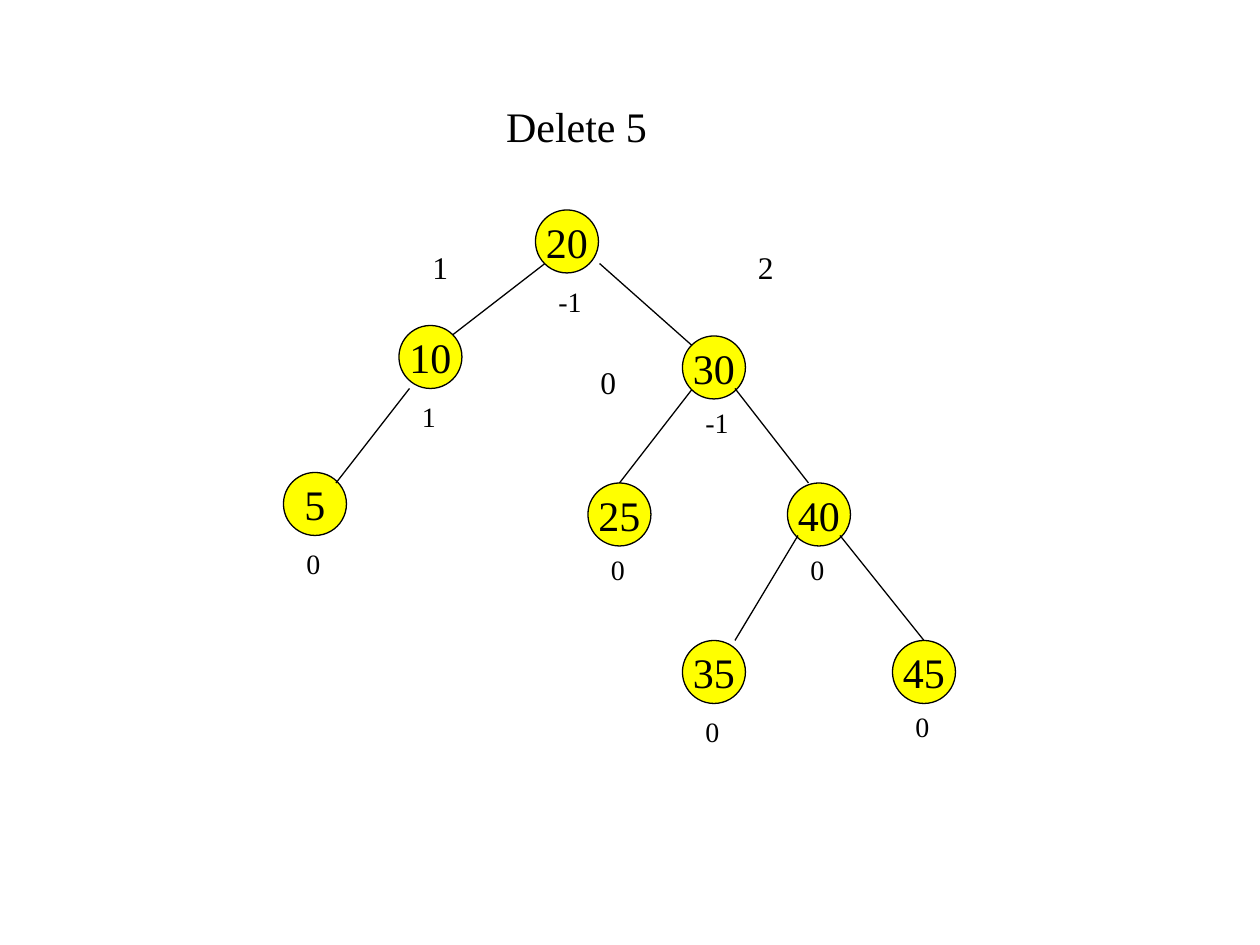
from lxml import etree
from pptx import Presentation
from pptx import util as u
from pptx.dml.color import RGBColor
from pptx.enum import shapes, text
from pptx.oxml.ns import qn

TITLE = "Delete 5"
NODES = [
    ("20", 51, 20, "-1", 6.5),
    ("10", 38, 31, "1", 6.5),
    ("30", 65, 32, "-1", 6),
    ("25", 56, 46, "0", 6),
    ("40", 75, 46, "0", 6),
    ("5", 27, 45, "0", 6.5),
    ("35", 65, 61, "0", 6.5),
    ("45", 85, 61, "0", 6),
]
EDGES = [
    (51.9, 25.1, 43.1, 31.9),
    (57.1, 25.1, 65.9, 32.9),
    (65.9, 37.1, 59, 46),
    (70, 37, 77, 46),
    (39, 37, 32, 46),
    (80, 51, 88, 61),
    (76, 51, 70, 61),
]
HEIGHTS = [("1", 40, 23), ("0", 56, 34), ("2", 71, 23)]

FONT = "Times New Roman"
BLACK = RGBColor(0, 0, 0)
YELLOW = RGBColor(255, 255, 0)
NODE_SIZE = 6


def grid(steps):
    return u.Inches(steps / 12)


def write(frame, words, size, align=text.PP_ALIGN.LEFT, anchor=text.MSO_ANCHOR.TOP, wrap=True):
    frame.word_wrap = wrap
    frame.vertical_anchor = anchor
    paragraph = frame.paragraphs[0]
    paragraph.alignment = align
    run = paragraph.add_run()
    run.text = words
    run.font.size = u.Pt(size)
    run.font.name = FONT
    run.font.color.rgb = BLACK


def outline(line):
    line.color.rgb = BLACK
    line.width = u.Pt(0.75)


def add_label(slide, words, column, row, size):
    width = 0.34 if len(words) == 1 else 0.42
    height = 0.4 if size == 18 else 0.37
    box = slide.shapes.add_textbox(grid(column), grid(row), u.Inches(width), u.Inches(height))
    write(box.text_frame, words, size)
    box.text_frame.auto_size = text.MSO_AUTO_SIZE.SHAPE_TO_FIT_TEXT


def add_node(slide, key, column, row):
    node = slide.shapes.add_shape(
        shapes.MSO_SHAPE.OVAL, grid(column), grid(row), grid(NODE_SIZE), grid(NODE_SIZE)
    )
    node.shadow.inherit = False
    node.fill.solid()
    node.fill.fore_color.rgb = YELLOW
    outline(node.line)
    write(node.text_frame, key, 24, text.PP_ALIGN.CENTER, text.MSO_ANCHOR.MIDDLE, wrap=False)


def add_edge(slide, ends):
    edge = slide.shapes.add_connector(shapes.MSO_CONNECTOR.STRAIGHT, *map(grid, ends))
    outline(edge.line)
    etree.SubElement(edge._element.spPr, qn("a:effectLst"))


def main():
    presentation = Presentation()
    presentation.slide_width = u.Inches(10)
    presentation.slide_height = u.Inches(7.5)
    slide = presentation.slides.add_slide(presentation.slide_layouts[5])

    title = slide.shapes.title
    title.left, title.top, title.width, title.height = map(grid, (47, 9, 23, 6))
    write(title.text_frame, TITLE, 24)
    title.text_frame.auto_size = text.MSO_AUTO_SIZE.NONE

    for key, column, row, balance, drop in NODES:
        add_node(slide, key, column, row)
        add_label(slide, balance, column + 1, row + drop, 16)
    for ends in EDGES:
        add_edge(slide, ends)
    for height, column, row in HEIGHTS:
        add_label(slide, height, column, row, 18)

    presentation.save("out.pptx")


if __name__ == "__main__":
    main()
